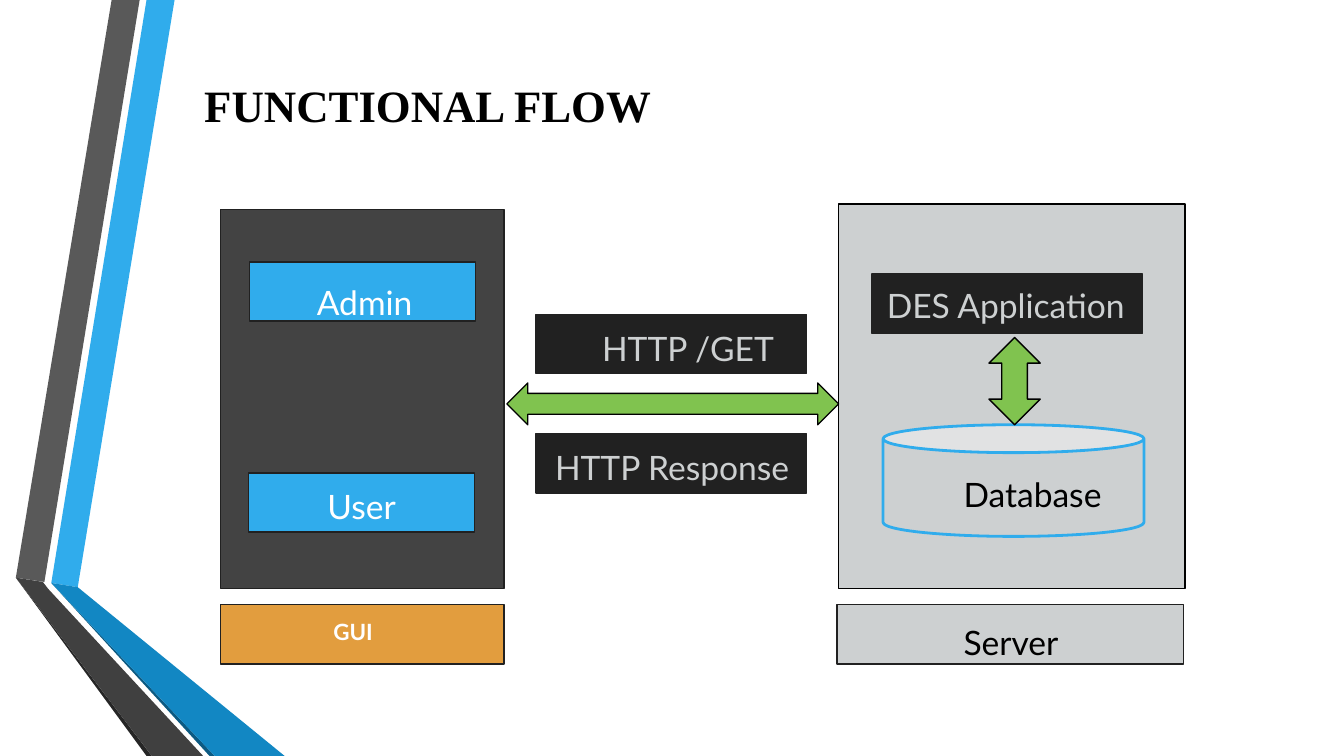
"""Build the functional flow slide: GUI, HTTP exchange and server."""
from pptx import Presentation
from pptx.dml.color import RGBColor
from pptx.enum.shapes import MSO_SHAPE
from pptx.enum.text import MSO_ANCHOR, MSO_AUTO_SIZE, PP_ALIGN
from pptx.util import Cm, Pt

COLORS = {
    "blue": "30ACEC", "deep_blue": "1287C3", "navy": "0C5A82",
    "gray": "595959", "dark_gray": "404040", "shadow_gray": "262626",
    "panel": "434343", "ink": "212121", "silver": "CDD0D1",
    "green": "80C34F", "orange": "E29D3E", "black": "000000", "white": "FFFFFF",
}
BAR_HEIGHT = 1.12
TEXT_INSET = 0.25

RIBBONS = [
    ("blue", [(0.97, 11.02), (1.47, 11.1), (3.3, 0), (2.77, 0)]),
    ("gray", [(2.64, 0), (2.11, 0), (0.3, 10.92), (0.84, 11)]),
    ("shadow_gray", [(0.3, 10.92), (2.77, 14.29), (2.87, 14.29)]),
    ("navy", [(0.97, 11.02), (3.96, 14.29), (4.06, 14.29)]),
    ("deep_blue", [(0.97, 11.02), (4.06, 14.29), (5.38, 14.29), (1.47, 11.1)]),
    ("dark_gray", [(3.84, 14.29), (0.91, 11.13), (0.81, 11), (0.3, 10.92), (2.87, 14.29)]),
]

PANELS = [
    (MSO_SHAPE.RECTANGLE, (4.17, 3.96, 5.36, 7.16), "panel", "ink", 0.75),
    (MSO_SHAPE.RECTANGLE, (15.85, 3.86, 6.55, 7.26), "silver", "black", 0.75),
    (MSO_SHAPE.CAN, (16.69, 8.03, 4.93, 2.11), "silver", "blue", 1.5),
    (MSO_SHAPE.UP_DOWN_ARROW, (18.69, 6.38, 0.97, 1.65), "green", "black", 0.75),
    (MSO_SHAPE.LEFT_RIGHT_ARROW, (9.58, 7.24, 6.27, 0.79), "green", "black", 0.75),
]

BARS = [
    (4.72, 4.95, 4.27, "blue"),
    (4.7, 8.94, 4.27, "blue"),
    (16.48, 5.18, 5.11, "ink"),
    (10.13, 5.94, 5.11, "ink"),
    (10.13, 8.2, 5.11, "ink"),
    (4.17, 11.43, 5.36, "orange"),
    (15.82, 11.43, 6.55, "silver"),
]

LABELS = [
    ("Database", (17.96, 8.71, 7.04, 1.12), "black", 18, False),
    ("Admin", (5.74, 5.08, 18.9, 1.12), "white", 18, False),
    ("User", (5.94, 8.94, 18.9, 1.12), "white", 18, False),
    ("DES Application", (16.51, 5.13, 8.1, 1.27), "silver", 18, False),
    ("HTTP /GET", (11.13, 5.94, 4.57, 1.27), "silver", 18, False),
    ("HTTP Response", (10.24, 8.2, 5.66, 1.27), "silver", 18, False),
    ("GUI", (6.05, 11.43, 7.87, 1.02), "white", 12, True),
    ("Server", (17.96, 11.51, 7.72, 1.12), "black", 18, False),
]


def color(name):
    """Return the named colour."""
    return RGBColor.from_string(COLORS[name])


def place(box):
    """Turn a box in centimetres into lengths."""
    return [Cm(value) for value in box]


def fill_shape(shape, fill):
    """Give a shape a solid fill and no shadow."""
    shape.shadow.inherit = False
    shape.fill.solid()
    shape.fill.fore_color.rgb = color(fill)


def add_ribbon(slide, fill, points):
    """Add one filled facet of the folded ribbons."""
    start, *corners = [(Cm(x), Cm(y)) for x, y in points]
    builder = slide.shapes.build_freeform(*start)
    builder.add_line_segments(corners, close=True)
    shape = builder.convert_to_shape()
    fill_shape(shape, fill)
    shape.line.fill.background()


def add_block(slide, kind, box, fill, outline, weight):
    """Add an outlined preset shape."""
    shape = slide.shapes.add_shape(kind, *place(box))
    fill_shape(shape, fill)
    shape.line.color.rgb = color(outline)
    shape.line.width = Pt(weight)


def write_text(shape, text, font_name, size, text_color, bold):
    """Write one left-aligned run at the top of a shape."""
    frame = shape.text_frame
    frame.word_wrap = True
    frame.vertical_anchor = MSO_ANCHOR.TOP
    frame.margin_left = frame.margin_right = Cm(TEXT_INSET)
    frame.margin_top = frame.margin_bottom = Cm(TEXT_INSET)
    paragraph = frame.paragraphs[0]
    paragraph.alignment = PP_ALIGN.LEFT
    run = paragraph.add_run()
    run.text = text
    run.font.name = font_name
    run.font.size = Pt(size)
    run.font.bold = bold
    run.font.color.rgb = color(text_color)
    return paragraph


def add_label(slide, text, box, text_color, size, bold):
    """Add a text box that grows with its text."""
    shape = slide.shapes.add_textbox(*place(box))
    write_text(shape, text, "Lato", size, text_color, bold)
    shape.text_frame.auto_size = MSO_AUTO_SIZE.SHAPE_TO_FIT_TEXT


def set_title(slide, text, box):
    """Move and format the title placeholder."""
    title = slide.shapes.title
    title.left, title.top, title.width, title.height = place(box)
    paragraph = write_text(title, text, "Times New Roman", 24, "black", True)
    paragraph.line_spacing = 1.15
    paragraph.space_after = Pt(16)
    title.text_frame.auto_size = MSO_AUTO_SIZE.NONE


def main():
    """Build and save the presentation."""
    presentation = Presentation()
    presentation.slide_width = Cm(25.4)
    presentation.slide_height = Cm(14.29)
    slide = presentation.slides.add_slide(presentation.slide_layouts[5])
    set_title(slide, "FUNCTIONAL FLOW", (3.61, 1.07, 15.57, 1.65))
    for ribbon in RIBBONS:
        add_ribbon(slide, *ribbon)
    for panel in PANELS:
        add_block(slide, *panel)
    for left, top, width, fill in BARS:
        box = (left, top, width, BAR_HEIGHT)
        add_block(slide, MSO_SHAPE.RECTANGLE, box, fill, "ink", 0.75)
    for label in LABELS:
        add_label(slide, *label)
    presentation.save("out.pptx")


if __name__ == "__main__":
    main()
